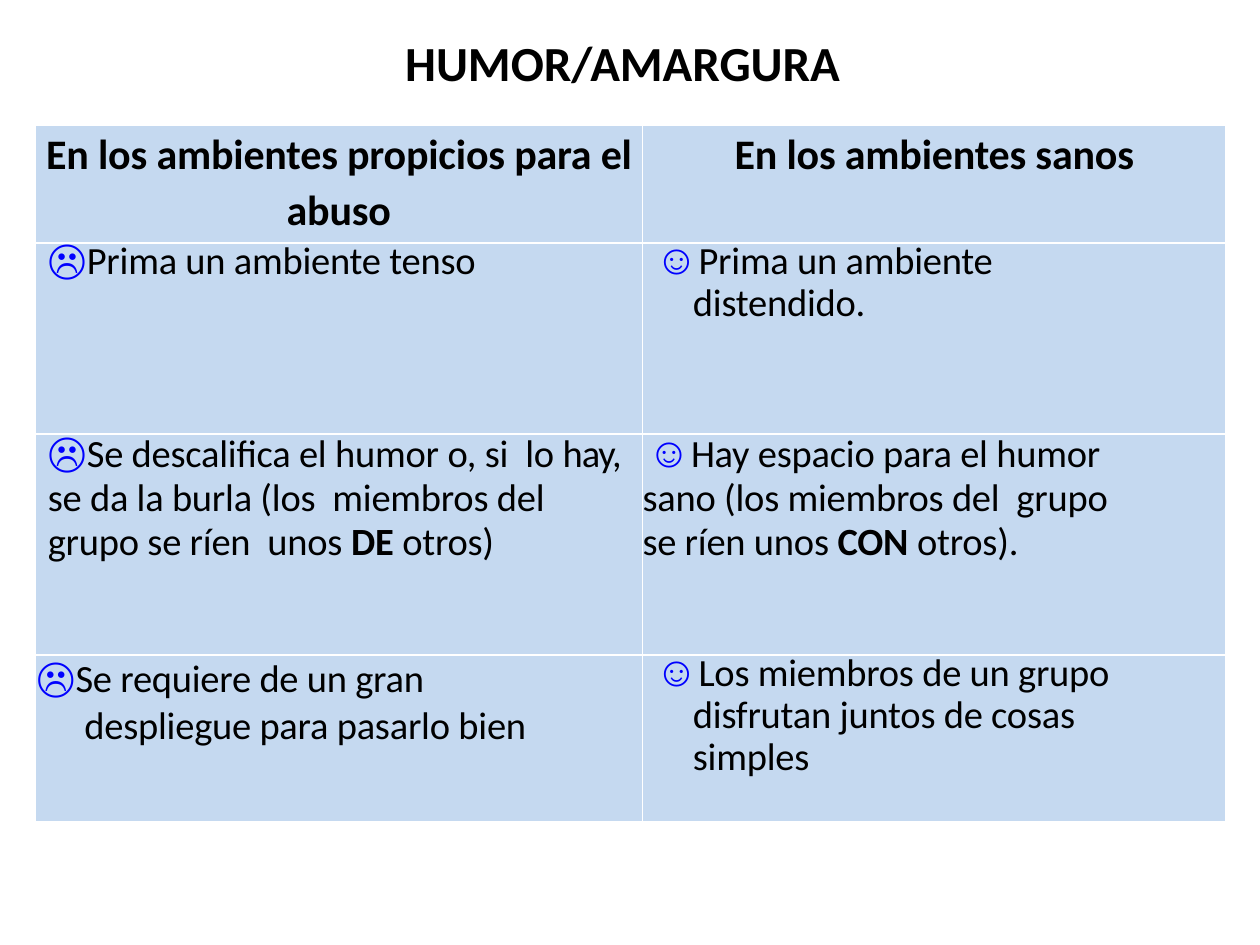
from dataclasses import dataclass
from typing import NamedTuple

from lxml.etree import SubElement
from pptx import Presentation
from pptx.dml.color import RGBColor
from pptx.enum.text import MSO_ANCHOR, PP_ALIGN as Align
from pptx.oxml.ns import qn
from pptx.util import Inches, Pt

HUES = {"text": "000000", "face": "0000FF", "cell": "C5D9F0", "rule": "FFFFFF"}
WIDE, HIGH = Inches(10), Inches(7.5)
# Shares of the slide, in percent
LEFT, TOP = 2.8, 13.2
COLS = [48.2, 46.3]
ROWS = [12.53, 20.22, 23.37, 17.65]


class Span(NamedTuple):
    text: str
    size: float = 22
    bold: bool = False
    hue: str = "text"
    font: str = "Calibri"
    gap: float = -0.1


@dataclass
class Para:
    spans: list[Span]
    left: float = 0
    first: float = 0
    pitch: float | None = None
    align: Align = Align.LEFT


@dataclass
class Cell:
    paras: list[Para]
    right: float = 0


def across(share: float) -> int:
    return round(WIDE * share / 100)


def down(share: float) -> int:
    return round(HIGH * share / 100)


def face(sign: str) -> Span:
    return Span(sign, 24, hue="face", font="Arial", gap=0.3)


def head(text: str) -> Cell:
    return Cell([Para([Span(text, 24, True)], pitch=32, align=Align.CENTER)])


def point(sign: str, text: str, right: float = 0) -> Cell:
    """A cell with one hanging line of text led by a face."""
    return Cell([Para([face(sign), Span(text)], 4, -3, 23.9)], right)


def write(frame, paras: list[Para]) -> None:
    for i, para in enumerate(paras):
        line = frame.add_paragraph() if i else frame.paragraphs[0]
        line.alignment = para.align
        if para.pitch:
            line.line_spacing = Pt(para.pitch)
        props = line._p.get_or_add_pPr()
        props.set("marL", str(across(para.left)))
        props.set("indent", str(across(para.first)))
        for span in para.spans:
            run = line.add_run()
            run.text = span.text
            font = run.font
            font.name, font.size, font.bold = span.font, Pt(span.size), span.bold
            font.color.rgb = RGBColor.from_string(HUES[span.hue])
            run._r.get_or_add_rPr().set("spc", str(round(span.gap * 100)))


def edge(cell) -> None:
    """Rule all four sides of a cell; the sides must precede its fill."""
    props = cell._tc.get_or_add_tcPr()
    for side in ("lnL", "lnR", "lnT", "lnB"):
        line = SubElement(props, qn(f"a:{side}"), w=str(Pt(1)))
        fill = SubElement(line, qn("a:solidFill"))
        SubElement(fill, qn("a:srgbClr"), val=HUES["rule"])


def draw(cell, item: Cell) -> None:
    cell.margin_left = cell.margin_top = cell.margin_bottom = 0
    cell.margin_right = across(item.right)
    cell.vertical_anchor = MSO_ANCHOR.TOP
    edge(cell)
    cell.fill.solid()
    cell.fill.fore_color.rgb = RGBColor.from_string(HUES["cell"])
    write(cell.text_frame, item.paras)


SAD, GLAD = "☹", "☺"
INSET = 8.6
GRID = [
    [head("En los ambientes propicios para el abuso"), head("En los ambientes sanos")],
    [point(SAD, "Prima un ambiente tenso"),
     point(GLAD, "Prima un ambiente distendido.", INSET)],
    [Cell([Para([face(SAD), Span("Se descalifica el humor "), Span("o, ", gap=-0.2),
                 Span("si  lo "), Span("hay, ", gap=-0.6),
                 Span("se da la burla (los  miembros del grupo se ríen  unos "),
                 Span("DE ", bold=True), Span("otros)")], 1, 0, 25.1)]),
     Cell([Para([face(GLAD),
                 Span("Hay espacio para el humor  sano (los miembros del  grupo se ríen unos "),
                 Span("CON ", bold=True), Span("otros).")], 0, 0.4, 25.1)], INSET)],
    [Cell([Para([face(SAD), Span("Se requiere de un gran")], 0.1),
           Para([Span("despliegue para pasarlo bien")], 3.9)]),
     point(GLAD, "Los miembros de un grupo disfrutan juntos de cosas simples", INSET)],
]


def main() -> None:
    deck = Presentation()
    deck.slide_width, deck.slide_height = WIDE, HIGH
    slide = deck.slides.add_slide(deck.slide_layouts[6])

    table = slide.shapes.add_table(
        len(ROWS), len(COLS), across(LEFT), down(TOP),
        across(sum(COLS)), down(sum(ROWS))).table
    table.first_row = table.horz_banding = False
    for col, share in zip(table.columns, COLS):
        col.width = across(share)
    for row, share, items in zip(table.rows, ROWS, GRID):
        row.height = down(share)
        for cell, item in zip(row.cells, items):
            draw(cell, item)

    title = slide.shapes.add_textbox(0, down(2.8), across(98.8), down(7.6)).text_frame
    title.word_wrap = True
    write(title, [Para([Span("HUMOR/AMARGURA", 28, True, gap=0)], align=Align.CENTER)])

    deck.save("out.pptx")


if __name__ == "__main__":
    main()
